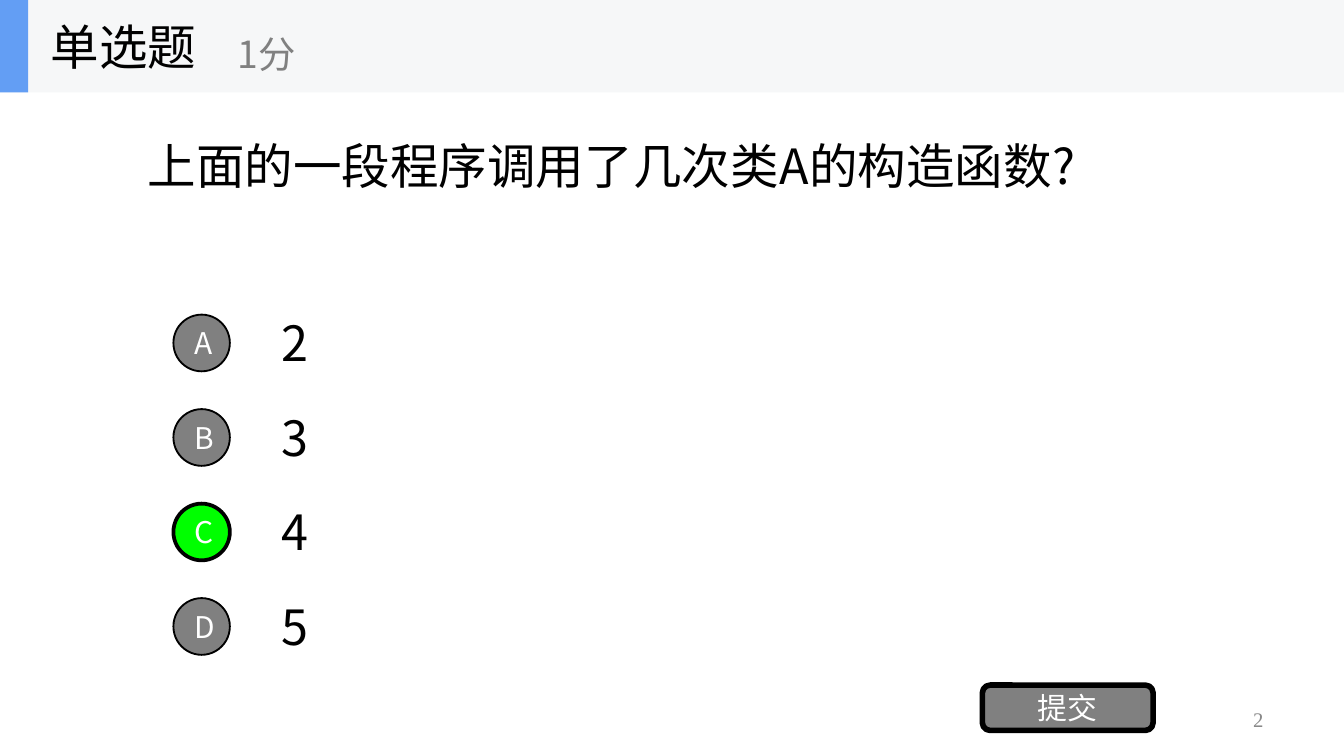
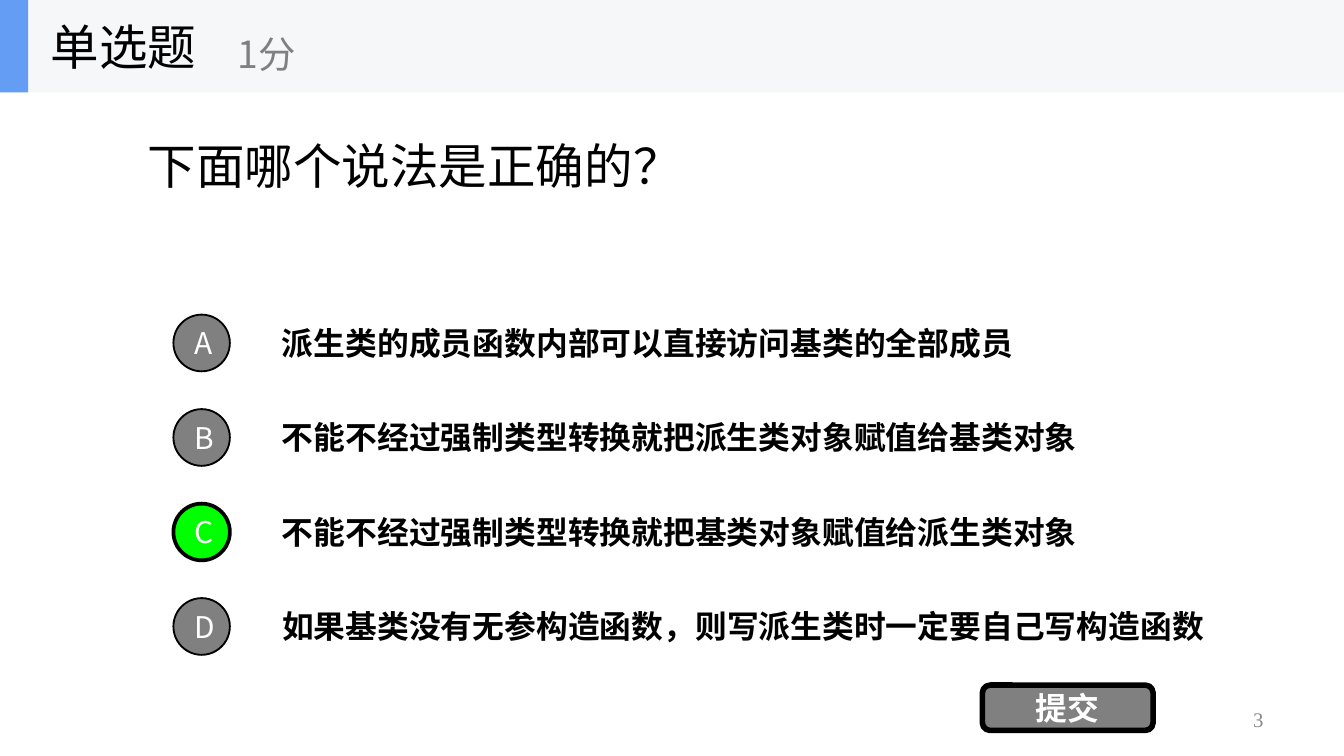
from dataclasses import dataclass

from lxml.etree import SubElement
from pptx import Presentation
from pptx.dml.color import RGBColor
from pptx.enum.shapes import MSO_SHAPE as Shape
from pptx.enum.text import MSO_ANCHOR as Anchor, PP_ALIGN as Align
from pptx.oxml.ns import qn
from pptx.util import Inches, Pt

WIDTH, HEIGHT = Inches(10), Inches(5.625)
COLUMN, ROW = WIDTH / 10, HEIGHT / 8
SANS, SERIF = "Noto Sans CJK SC", "Times New Roman"
BLACK, WHITE, GREY = "000000", "FFFFFF", "808080"
BAND, ACCENT, CORRECT, PAGE_GREY = "F6F7F8", "639EF4", "00FF00", "898989"


@dataclass
class Box:
    """An area measured in grid columns and rows."""
    left: float
    top: float
    width: float
    height: float

    def inner(self, left, top, width, height):
        """Return an area offset from this one."""
        return Box(self.left + left, self.top + top, width, height)

    def emu(self):
        """Return the area as slide lengths."""
        return (round(self.left * COLUMN), round(self.top * ROW),
                round(self.width * COLUMN), round(self.height * ROW))


@dataclass
class Question:
    """A single-choice question with the type sizes of its answers."""
    page: int
    prompt: str
    options: list
    answer: str
    option_size: int
    submit_size: int
    bold: bool = False


QUESTIONS = [
    Question(2, "上面的一段程序调用了几次类A的构造函数?",
             ["2", "3", "4", "5"], "C", 26, 16),
    Question(3, "下面哪个说法是正确的？",
             ["派生类的成员函数内部可以直接访问基类的全部成员",
              "不能不经过强制类型转换就把派生类对象赋值给基类对象",
              "不能不经过强制类型转换就把基类对象赋值给派生类对象",
              "如果基类没有无参构造函数，则写派生类时一定要自己写构造函数"],
             "C", 17, 17, bold=True),
]


def color(value):
    """Convert a hex string to a colour."""
    return RGBColor.from_string(value)


def write(shape, text, size, ink=BLACK, bold=False, align=Align.LEFT, face=SANS):
    """Set the text of a shape as one middle-anchored paragraph."""
    frame = shape.text_frame
    frame.word_wrap = True
    frame.vertical_anchor = Anchor.MIDDLE
    paragraph = frame.paragraphs[0]
    paragraph.text = text
    paragraph.alignment = align
    font = paragraph.font
    font.size, font.bold, font.name = Pt(size), bold, face
    font.color.rgb = color(ink)
    defaults = paragraph._p.pPr.find(qn("a:defRPr"))
    SubElement(defaults, qn("a:ea"), typeface=face)
    return paragraph


def label(shapes, box, text, size, **style):
    """Add a text box."""
    return write(shapes.add_textbox(*box.emu()), text, size, **style)


def panel(shapes, kind, box, fill, border=0):
    """Add a filled shape with an optional black outline."""
    shape = shapes.add_shape(kind, *box.emu())
    shape.shadow.inherit = False
    shape.fill.solid()
    shape.fill.fore_color.rgb = color(fill)
    if border:
        shape.line.color.rgb = color(BLACK)
        shape.line.width = Pt(border)
    else:
        shape.line.fill.background()
    return shape


def add_header(slide, box):
    """Place the grouped band with the question type and its score."""
    band = slide.shapes.add_group_shape().shapes
    panel(band, Shape.RECTANGLE, box, BAND)
    panel(band, Shape.RECTANGLE, box.inner(0, 0, 0.21, box.height), ACCENT)
    label(band, box.inner(0.28, 0, 2.08, box.height), "单选题", 26)
    label(band, box.inner(1.67, 0.17, 2.5, 0.8), "1分", 20, ink=GREY)


def add_options(slide, box, question):
    """Place one lettered answer in each row of the box."""
    for row, text in enumerate(question.options):
        width = 7.65 if len(text) > 26 else 7
        label(slide.shapes, box.inner(0.71, row, width, 0.75), text,
              question.option_size, bold=question.bold)
    for row, letter in enumerate("ABCD"[:len(question.options)]):
        fill, border = (CORRECT, 2) if letter == question.answer else (GREY, 1)
        bullet = panel(slide.shapes, Shape.OVAL, box.inner(0, row + 0.08, 0.42, 0.6),
                       fill, border)
        write(bullet, letter, 16, ink=WHITE, align=Align.CENTER)


def add_footer(slide, box, question):
    """Place the page number and the submit button."""
    number = label(slide.shapes, box.inner(0, 0.16, 2.33, 0.43), str(question.page),
                   11.1, ink=PAGE_GREY, align=Align.RIGHT, face=SERIF)
    number.line_spacing = 0.9
    submit = panel(slide.shapes, Shape.ROUNDED_RECTANGLE,
                   box.inner(0.14, 0, 1.27, 0.48), GREY, 3)
    submit.adjustments[0] = 0.17
    write(submit, "提交", question.submit_size, ink=WHITE, bold=question.bold,
          align=Align.CENTER)


def add_question(deck, question):
    """Build a whole question slide."""
    slide = deck.slides.add_slide(deck.slide_layouts[6])
    label(slide.shapes, Box(1, 0.5, 8, 2.5), question.prompt, 26)
    add_options(slide, Box(1.29, 3.25, 8.36, 4), question)
    add_footer(slide, Box(7.17, 7.25, 2.33, 0.75), question)
    add_header(slide, Box(0, 0, 10, 0.98))


def main():
    """Build and save the deck."""
    deck = Presentation()
    deck.slide_width, deck.slide_height = WIDTH, HEIGHT
    for question in QUESTIONS:
        add_question(deck, question)
    deck.save("out.pptx")


if __name__ == "__main__":
    main()
